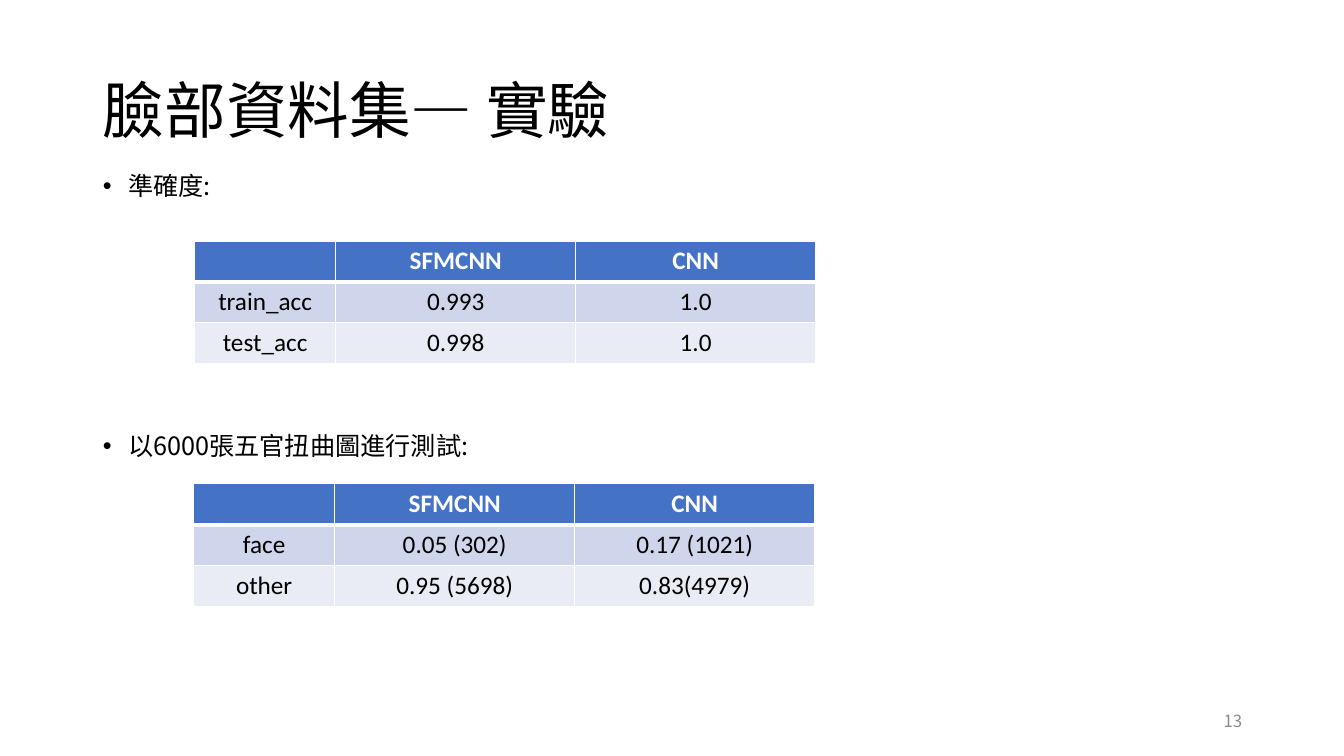
from lxml import etree
from pptx import Presentation
from pptx import util as u
from pptx.dml import color
from pptx.enum import text
from pptx.oxml import ns

COLORS = {
    "ink": "000000",
    "white": "FFFFFF",
    "header": "4472C4",
    "band_dark": "CFD5EA",
    "band_light": "E9EBF5",
    "page_number": "8C8C8C",
}
CJK_FONT = "Noto Sans CJK SC"
TABLE_FONT = "Calibri"
LEFT, WIDTH = 0.92, 11.5


def rgb(name):
    return color.RGBColor.from_string(COLORS[name])


class SlideBuilder:
    def __init__(self, slide):
        self.slide = slide

    def place(self, shape, left, top, width, height):
        shape.left, shape.top = u.Inches(left), u.Inches(top)
        shape.width, shape.height = u.Inches(width), u.Inches(height)

    def add_run(self, paragraph, words, size, font, ink="ink", bold=False):
        run = paragraph.add_run()
        run.text = words
        run.font.size = u.Pt(size)
        run.font.name = font
        run.font.bold = bold
        run.font.color.rgb = rgb(ink)
        east_asian = etree.Element(ns.qn("a:ea"), typeface=font)
        run.font._element.find(ns.qn("a:latin")).addnext(east_asian)

    def title(self, words, top, height):
        shape = self.slide.shapes.title
        self.place(shape, LEFT, top, WIDTH, height)
        frame = shape.text_frame
        frame.auto_size = text.MSO_AUTO_SIZE.NONE
        frame.vertical_anchor = text.MSO_ANCHOR.MIDDLE
        paragraph = frame.paragraphs[0]
        paragraph.alignment = text.PP_ALIGN.LEFT
        paragraph.line_spacing = 0.9
        self.add_run(paragraph, words, 44, CJK_FONT)

    def bullet(self, index, words, top, height):
        shape = self.slide.placeholders[index]
        self.place(shape, LEFT, top, WIDTH, height)
        frame = shape.text_frame
        frame.auto_size = text.MSO_AUTO_SIZE.NONE
        paragraph = frame.paragraphs[0]
        properties = paragraph._p.get_or_add_pPr()
        properties.set("marL", str(u.Inches(0.25)))
        properties.set("indent", str(u.Inches(-0.25)))
        etree.SubElement(properties, ns.qn("a:buFont"), typeface="Arial")
        etree.SubElement(properties, ns.qn("a:buChar"), char="•")
        paragraph.line_spacing = 1.5
        paragraph.space_before = u.Pt(0)
        self.add_run(paragraph, words, 18, CJK_FONT)

    def border(self, cell, side, points):
        properties = cell._tc.get_or_add_tcPr()
        line = etree.SubElement(properties, ns.qn("a:ln" + side), w=str(u.Pt(points)))
        fill = etree.SubElement(line, ns.qn("a:solidFill"))
        etree.SubElement(fill, ns.qn("a:srgbClr"), val=COLORS["white"])

    def table(self, rows, left, top):
        widths, row_height = (1.4, 2.38, 2.38), 0.405
        table = self.slide.shapes.add_table(
            len(rows), len(widths), u.Inches(left), u.Inches(top),
            u.Inches(sum(widths)), u.Inches(row_height * len(rows))).table
        for column, width in zip(table.columns, widths):
            column.width = u.Inches(width)
        fills = ("header", "band_dark", "band_light")
        for r, (row, fill) in enumerate(zip(rows, fills)):
            is_header = r == 0
            for c, words in enumerate(row):
                cell = table.cell(r, c)
                # A thick rule separates the header from the data
                for side in "LRTB":
                    thick = (r, side) in ((0, "B"), (1, "T"))
                    self.border(cell, side, 3 if thick else 1)
                cell.fill.solid()
                cell.fill.fore_color.rgb = rgb(fill)
                if words:
                    paragraph = cell.text_frame.paragraphs[0]
                    paragraph.alignment = text.PP_ALIGN.CENTER
                    self.add_run(paragraph, words, 18, TABLE_FONT,
                                 "white" if is_header else "ink", is_header)

    def page_number(self, words):
        shape = self.slide.shapes.add_textbox(
            u.Inches(9.42), u.Inches(6.95), u.Inches(3), u.Inches(0.4))
        frame = shape.text_frame
        frame.word_wrap = True
        frame.vertical_anchor = text.MSO_ANCHOR.MIDDLE
        paragraph = frame.paragraphs[0]
        paragraph.alignment = text.PP_ALIGN.RIGHT
        self.add_run(paragraph, words, 12, CJK_FONT, "page_number")


def main():
    presentation = Presentation()
    presentation.slide_width = u.Inches(13.33)
    presentation.slide_height = u.Inches(7.5)
    two_content = presentation.slide_layouts[3]
    builder = SlideBuilder(presentation.slides.add_slide(two_content))
    header = ("", "SFMCNN", "CNN")

    builder.title("臉部資料集— 實驗", 0.4, 1.45)

    # Accuracy
    builder.bullet(1, "準確度:", 1.49, 2.49)
    builder.table((header,
                   ("train_acc", "0.993", "1.0"),
                   ("test_acc", "0.998", "1.0")), 1.93, 2.39)

    # Test on distorted faces
    builder.bullet(2, "以6000張五官扭曲圖進行測試:", 4.07, 2.69)
    builder.table((header,
                   ("face", "0.05 (302)", "0.17 (1021)"),
                   ("other", "0.95 (5698)", "0.83(4979)")), 1.92, 4.8)

    builder.page_number("13")
    presentation.save("out.pptx")


if __name__ == "__main__":
    main()
